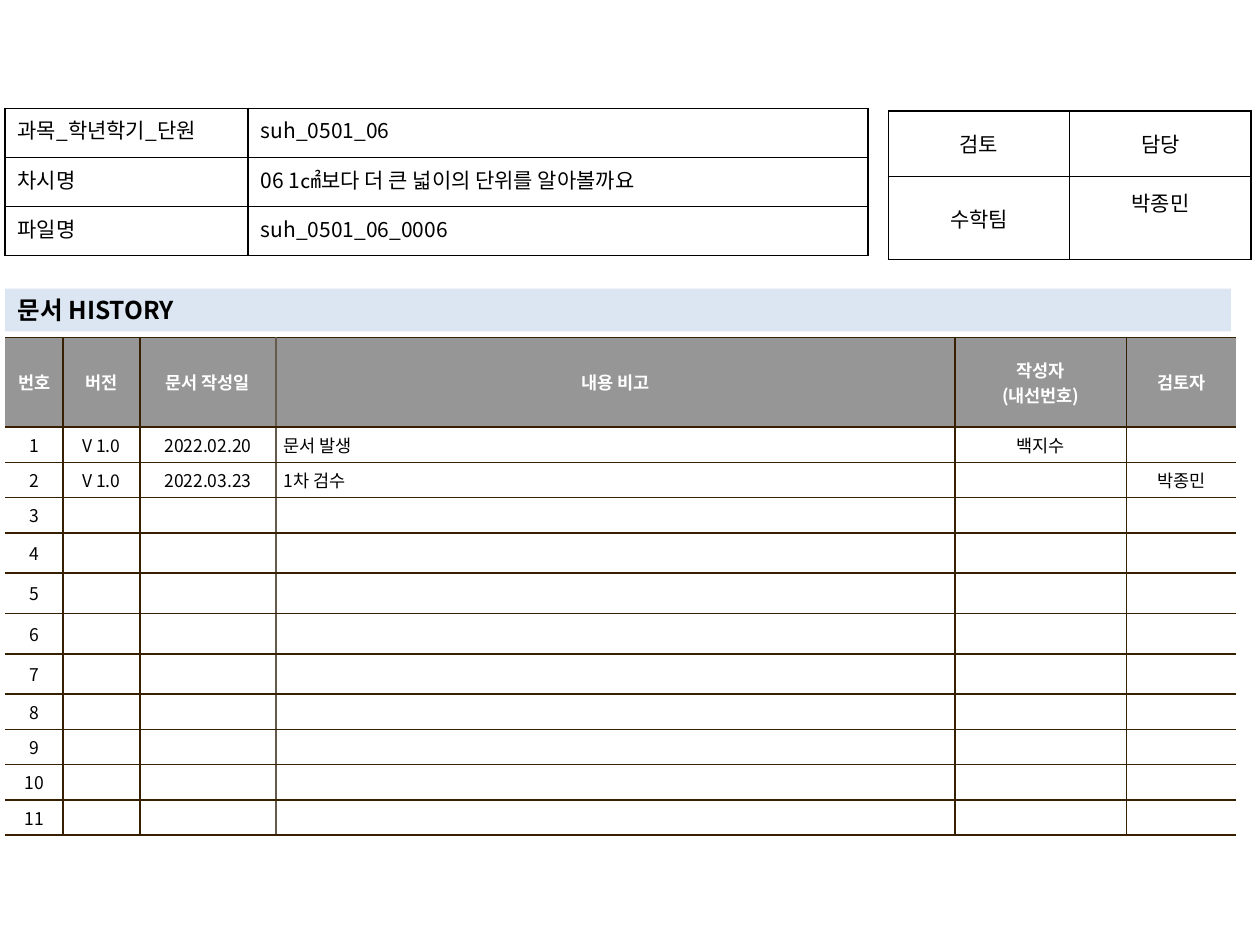
from lxml import etree
from pptx import Presentation
from pptx import util as u
from pptx.dml.color import RGBColor
from pptx.enum import text
from pptx.oxml.ns import qn

THEME = {
    "font": "Noto Sans CJK KR",
    "black": "000000", "white": "FFFFFF",
    "heading_fill": "DCE6F2", "header_fill": "969696",
    "history_line": "362000", "soft_line": "645B4C",
    "heading_size": 14, "info_size": 12, "history_size": 10,
}
LEFT, CENTER, JUSTIFY = (text.PP_ALIGN.LEFT, text.PP_ALIGN.CENTER,
                         text.PP_ALIGN.JUSTIFY)
TOP, MIDDLE = text.MSO_ANCHOR.TOP, text.MSO_ANCHOR.MIDDLE

HEADING = "문서 HISTORY"
FILE_INFO = [
    ("과목_학년학기_단원 ", "suh_0501_06"),
    ("차시명", "06 1㎠보다 더 큰 넓이의 단위를 알아볼까요"),
    ("파일명", "suh_0501_06_0006"),
]
REVIEW = [("검토", "담당"), ("수학팀", "박종민")]
HISTORY_HEADER = ("번호", "버전", "문서 작성일", "내용 비고",
                  "작성자\n(내선번호)", "검토자")
HISTORY_ENTRIES = [
    ("V 1.0", "2022.02.20", "문서 발생", "백지수", ""),
    ("V 1.0", "2022.03.23", "1차 검수", "", "박종민"),
]
HISTORY_COUNT = 11
TALL_ENTRIES = range(4, 8)
DATE_COLUMN, NOTE_COLUMN = 2, 3


def format_text(frame, content, size, color, align, bold=False):
    frame.text = content
    values = {"name": THEME["font"], "size": u.Pt(size), "bold": bold}
    for paragraph in frame.paragraphs:
        paragraph.alignment = align
        for run in paragraph.runs:
            for name, value in values.items():
                setattr(run.font, name, value)
            run.font.color.rgb = RGBColor.from_string(color)
            east_asian = etree.SubElement(run.font._element, qn("a:ea"))
            east_asian.set("typeface", THEME["font"])
        if not paragraph.runs:
            # An empty cell keeps its row low only if its end mark is small.
            end = etree.SubElement(paragraph._p, qn("a:endParaRPr"))
            end.set("sz", str(size * 100))


def set_margins(target, horizontal, vertical):
    for side in ("left", "right"):
        setattr(target, f"margin_{side}", u.Inches(horizontal))
    for side in ("top", "bottom"):
        setattr(target, f"margin_{side}", u.Inches(vertical))


def set_borders(cell, colors):
    """Draw 1 pt borders; a side whose colour is None has no line."""
    properties = cell._tc.get_or_add_tcPr()
    for side in "LRTB":
        line = etree.SubElement(properties, qn(f"a:ln{side}"), w="12700")
        if colors[side] is None:
            etree.SubElement(line, qn("a:noFill"))
        else:
            fill = etree.SubElement(line, qn("a:solidFill"))
            etree.SubElement(fill, qn("a:srgbClr"), val=colors[side])


def add_grid(slide, left, top, widths, heights, rows, style_cell):
    """Add a table; style_cell gives the format of a cell by row and column."""
    frame = slide.shapes.add_table(
        len(rows), len(widths), u.Inches(left), u.Inches(top),
        u.Inches(sum(widths)), u.Inches(sum(heights)))
    table = frame.table
    table.first_row = table.horz_banding = False
    for column, width in zip(table.columns, widths):
        column.width = u.Inches(width)
    for row, height in zip(table.rows, heights):
        row.height = u.Inches(height)
    for r, row in enumerate(rows):
        for c, content in enumerate(row):
            cell, style = table.cell(r, c), style_cell(r, c)
            set_borders(cell, style["borders"])
            if style["fill"]:
                cell.fill.solid()
                cell.fill.fore_color.rgb = RGBColor.from_string(style["fill"])
            else:
                cell.fill.background()
            set_margins(cell, *style["margins"])
            cell.vertical_anchor = style["anchor"]
            format_text(cell.text_frame, content, **style["text"])
    return table


def plain_style(align, anchor):
    return {
        "borders": dict.fromkeys("LRTB", THEME["black"]),
        "fill": None, "margins": (0.1, 0.05), "anchor": anchor,
        "text": {"size": THEME["info_size"], "color": THEME["black"],
                 "align": align},
    }


def info_style(row, column):
    return plain_style(LEFT if column else JUSTIFY, TOP)


def review_style(row, column):
    return plain_style(CENTER, MIDDLE)


def history_style(row, column):
    header = row == 0
    borders = dict.fromkeys("LRTB", THEME["history_line"])
    if column == 0:
        borders["L"] = None
    if column == len(HISTORY_HEADER) - 1:
        borders["R"] = None
    if column == DATE_COLUMN:
        borders["R"] = THEME["soft_line"]
    if column == NOTE_COLUMN:
        borders["L"] = THEME["soft_line"]
    return {
        "borders": borders,
        "fill": THEME["header_fill" if header else "white"],
        "margins": (0.06, 0.04), "anchor": MIDDLE,
        "text": {"size": THEME["history_size"], "bold": header,
                 "color": THEME["white" if header else "black"],
                 "align": LEFT if column == NOTE_COLUMN and not header
                 else CENTER},
    }


def add_heading(slide):
    title = slide.shapes.title
    title.left, title.top, title.width, title.height = (
        u.Inches(value) for value in (0.04, 2.29, 9.73, 0.34))
    title.fill.solid()
    title.fill.fore_color.rgb = RGBColor.from_string(THEME["heading_fill"])
    frame = title.text_frame
    frame.word_wrap = True
    frame.auto_size = text.MSO_AUTO_SIZE.NONE
    frame.vertical_anchor = MIDDLE
    set_margins(frame, 0.1, 0.03)
    format_text(frame, HEADING, THEME["heading_size"], THEME["black"],
                LEFT, bold=True)


def main():
    presentation = Presentation()
    presentation.slide_width = u.Inches(10)
    presentation.slide_height = u.Inches(7.5)
    slide = presentation.slides.add_slide(presentation.slide_layouts[5])

    numbers = range(1, HISTORY_COUNT + 1)
    blank = ("",) * (len(HISTORY_HEADER) - 1)
    entries = HISTORY_ENTRIES + [blank] * (HISTORY_COUNT - len(HISTORY_ENTRIES))
    history = [HISTORY_HEADER] + [
        (str(number), *entry) for number, entry in zip(numbers, entries)]
    heights = [0.71] + [0.32 if n in TALL_ENTRIES else 0.28 for n in numbers]

    add_heading(slide)
    add_grid(slide, 0.04, 2.68, [0.46, 0.61, 1.08, 5.39, 1.36, 0.87],
             heights, history, history_style)
    review = add_grid(slide, 7.05, 0.88, [1.44] * 2, [0.52, 0.66],
                      REVIEW, review_style)
    review.cell(1, 1).margin_bottom = u.Inches(0.29)  # raises the name
    add_grid(slide, 0.04, 0.86, [1.93, 4.92], [0.39] * 3,
             FILE_INFO, info_style)
    presentation.save("out.pptx")


if __name__ == "__main__":
    main()
